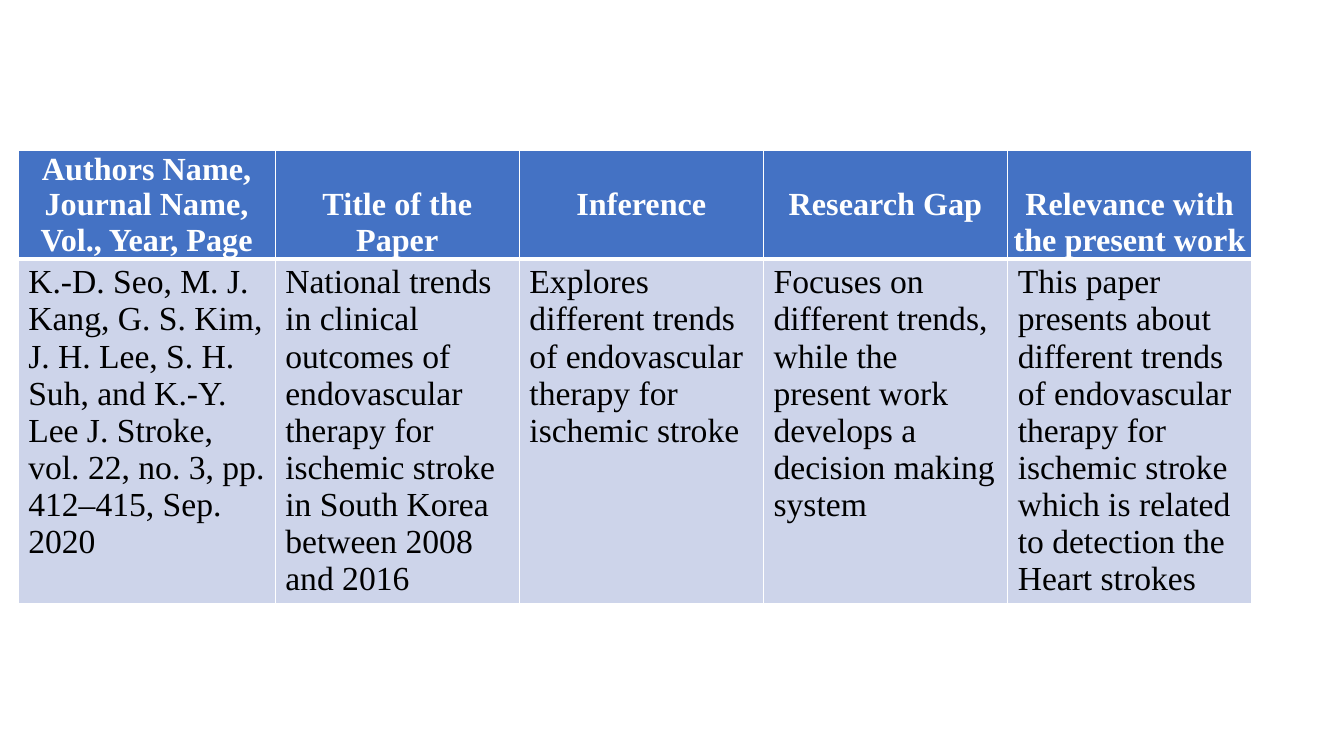
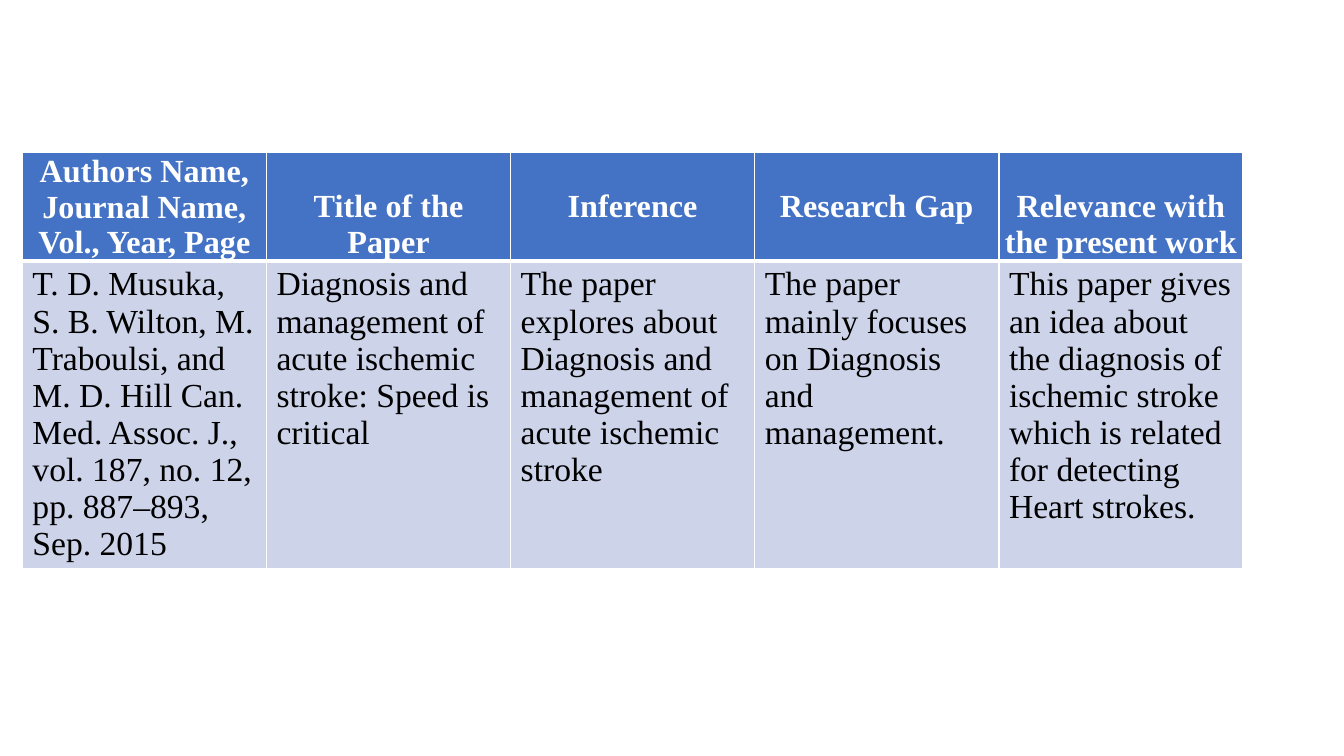
"""Build two literature survey slides, each with one table about a paper."""
import pptx
import pptx.dml.color
import pptx.enum.text
import pptx.oxml
import pptx.oxml.ns
import pptx.util

Pt = pptx.util.Pt
RGBColor = pptx.dml.color.RGBColor
PP_ALIGN = pptx.enum.text.PP_ALIGN

WHITE = RGBColor(0xFF, 0xFF, 0xFF)
BLACK = RGBColor(0x00, 0x00, 0x00)
HEADER_BLUE = RGBColor(0x44, 0x72, 0xC4)
BODY_BLUE = RGBColor(0xCD, 0xD4, 0xEA)
FONT = "Times New Roman"
HEADER_HEIGHT = 77
COLUMN_WIDTH = 174.4
HEADER_LINE = 25.46

HEADINGS = [
    ("Authors Name, Journal Name, Vol., Year, Page", 0),
    ("Title of the Paper", 1),
    ("Inference", 1),
    ("Research Gap", 1),
    ("Relevance with the present work", 1),
]

PAPERS = [
    {
        "left": 13, "top": 107.5, "first_width": 183.6, "body_height": 246,
        "entries": [
            "K.-D. Seo, M. J. Kang, G. S. Kim, J. H. Lee, S. H. Suh, and K.-Y. Lee J. Stroke, "
            "vol. 22, no. 3, pp. 412–415, Sep. 2020",
            "National trends in clinical outcomes of endovascular therapy for ischemic stroke "
            "in South Korea between 2008 and 2016",
            "Explores different trends of endovascular therapy for ischemic stroke",
            "Focuses on different trends, while the present work develops a decision making system",
            "This paper presents about different trends of endovascular therapy for ischemic stroke "
            "which is related to detection the Heart strokes",
        ],
    },
    {
        "left": 16, "top": 109, "first_width": COLUMN_WIDTH, "body_height": 220,
        "entries": [
            "T. D. Musuka, S. B. Wilton, M. Traboulsi, and M. D. Hill Can. Med. Assoc. J., "
            "vol. 187, no. 12, pp. 887–893, Sep. 2015",
            "Diagnosis and management of acute ischemic stroke: Speed is critical",
            "The paper explores about Diagnosis and management of acute ischemic stroke",
            "The paper mainly focuses on Diagnosis and management.",
            "This paper gives an idea about the diagnosis of ischemic stroke "
            "which is related for detecting Heart strokes.",
        ],
    },
]


def write_cell(cell, text, *, size, color, fill, bold=False, align=PP_ALIGN.LEFT):
    """Fill a cell and set its text in the given format."""
    cell.fill.solid()
    cell.fill.fore_color.rgb = fill
    para = cell.text_frame.paragraphs[0]
    para.alignment = align
    span = para.add_run()
    span.text = text
    span.font.name = FONT
    span.font.size = Pt(size)
    span.font.bold = bold
    span.font.color.rgb = color


def set_borders(cell, **widths):
    """Draw white cell borders, with one width in points for each side."""
    properties = cell._tc.get_or_add_tcPr()
    for position, side in enumerate("LRTB"):
        line = pptx.oxml.parse_xml(
            f'<a:ln{side} {pptx.oxml.ns.nsdecls("a")} w="{Pt(widths.get(side, 1))}">'
            f'<a:solidFill><a:srgbClr val="{WHITE}"/></a:solidFill></a:ln{side}>'
        )
        properties.insert(position, line)


deck = pptx.Presentation()
deck.slide_width = Pt(960)
deck.slide_height = Pt(540)

for paper in PAPERS:
    page = deck.slides.add_slide(deck.slide_layouts[6])
    widths = [paper["first_width"]] + [COLUMN_WIDTH] * (len(HEADINGS) - 1)
    frame = page.shapes.add_table(
        2, len(HEADINGS), Pt(paper["left"]), Pt(paper["top"]),
        Pt(sum(widths)), Pt(HEADER_HEIGHT + paper["body_height"]),
    )
    table = frame.table
    table.horz_banding = False
    table.rows[0].height = Pt(HEADER_HEIGHT)
    table.rows[1].height = Pt(paper["body_height"])

    for index, (heading, lines_above) in enumerate(HEADINGS):
        table.columns[index].width = Pt(widths[index])
        header = table.cell(0, index)
        header.margin_left = header.margin_right = Pt(1.4)
        header.margin_top = Pt(0.7 + lines_above * HEADER_LINE)
        header.margin_bottom = Pt(0)
        write_cell(header, heading, size=23, color=WHITE, fill=HEADER_BLUE,
                   bold=True, align=PP_ALIGN.CENTER)
        set_borders(header, B=3)

        body = table.cell(1, index)
        write_cell(body, paper["entries"][index], size=24, color=BLACK, fill=BODY_BLUE)
        set_borders(body, T=3)

deck.save("out.pptx")
